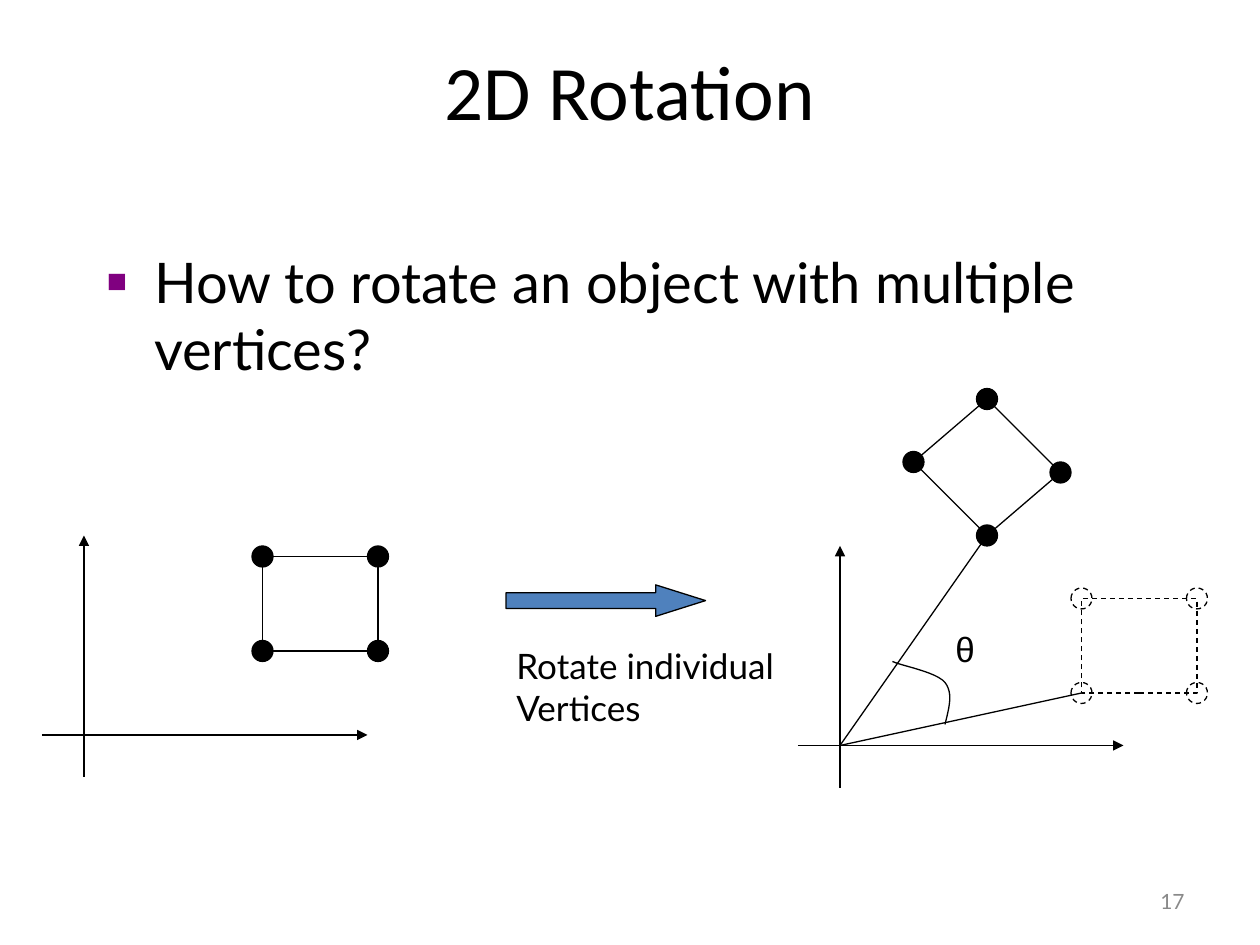
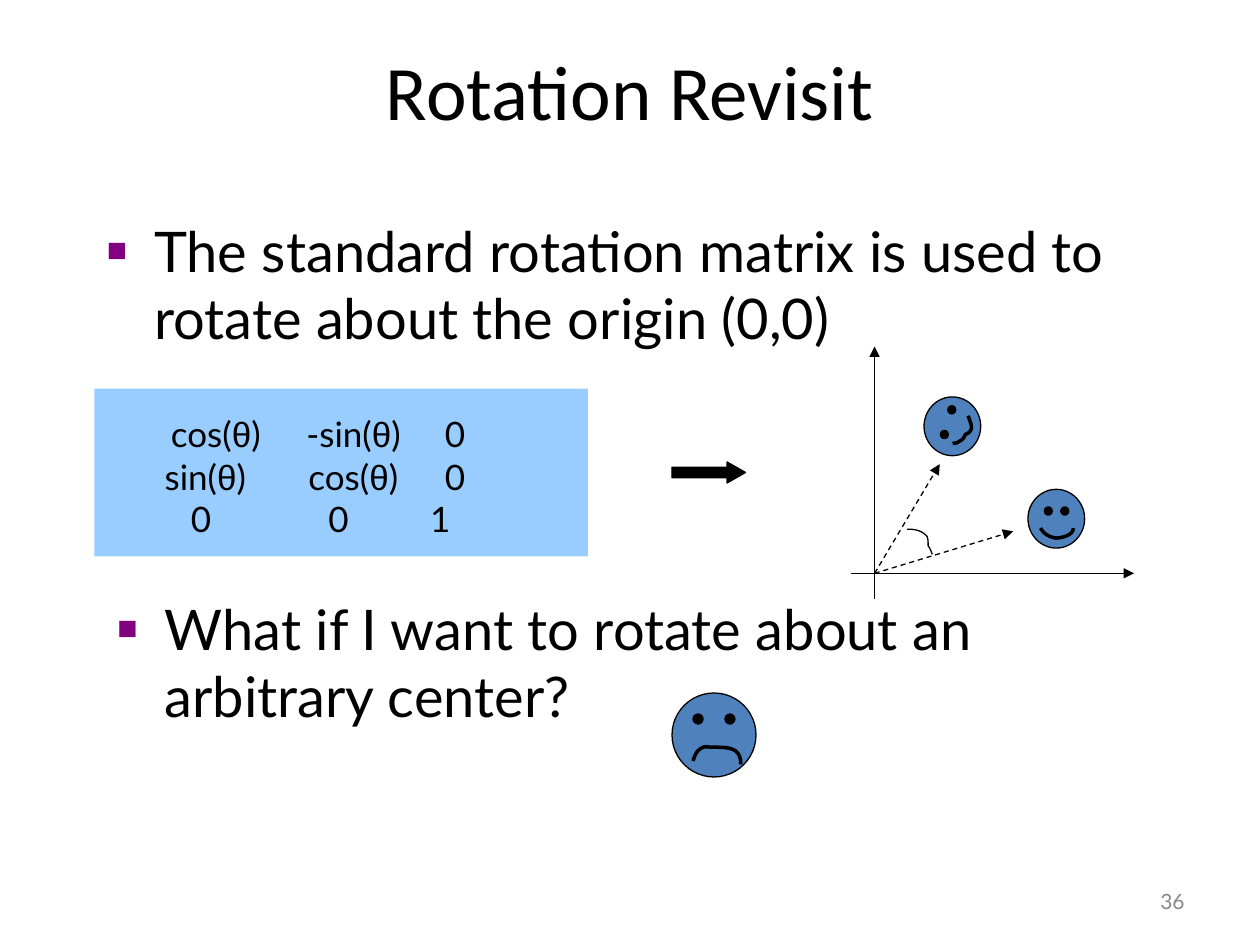
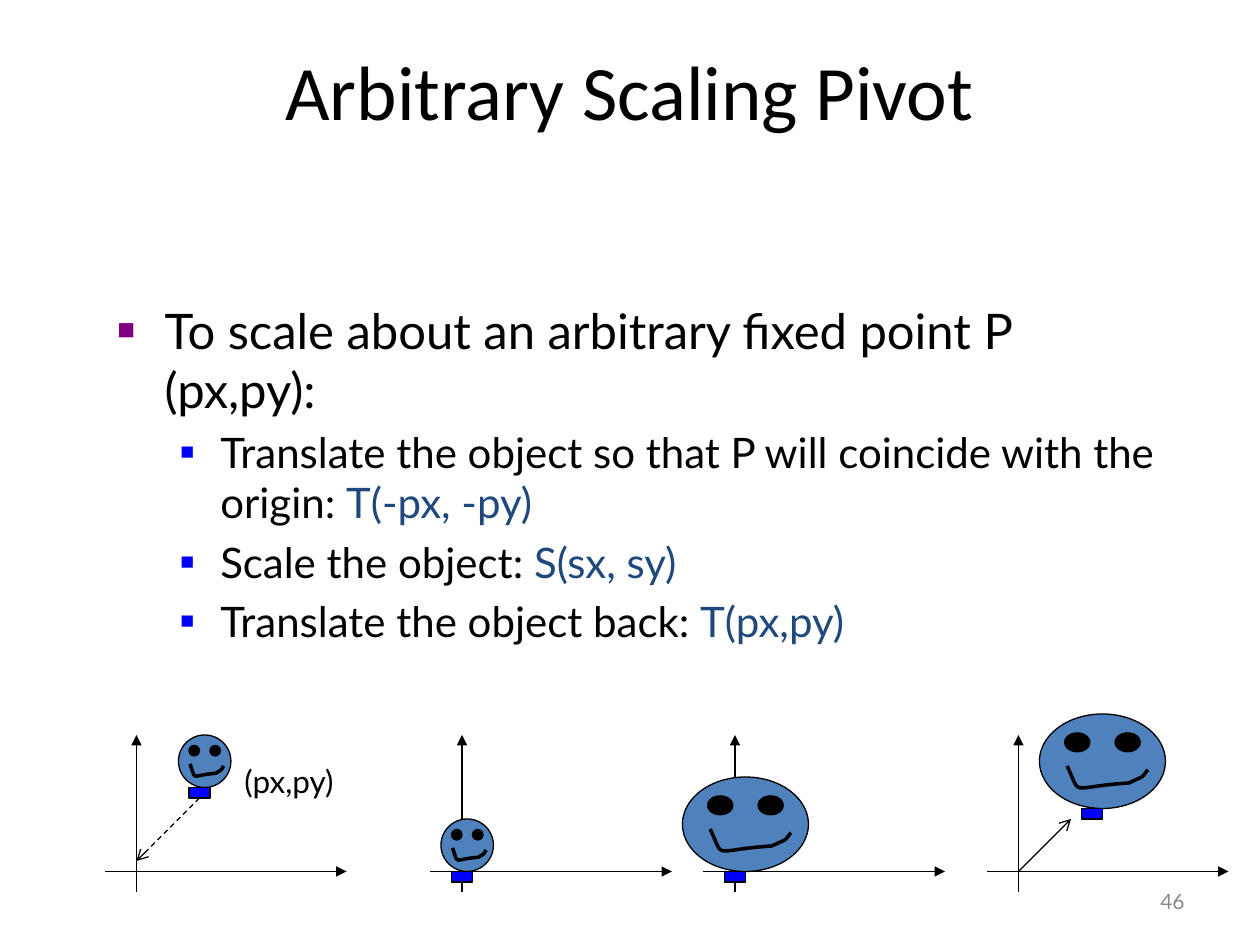
from lxml import etree
from pptx import Presentation
from pptx import util as u
from pptx.dml.color import RGBColor
from pptx.enum import dml, shapes, text
from pptx.oxml import ns

PX = 7620  # EMU in one px, 120 px to the inch
COLORS = {
    "ink": "000000", "number": "898989", "face": "4F81BD", "panel": "99CCFF",
    "bullet": "800080", "sub_bullet": "0000FF", "pivot": "0000FF", "formula": "1F497D",
}
BODY_FONT, TITLE_FONT, GREEK_FONT = "Lato", "Calibri", "Arial"
THETA = "θ"
OVAL, RECT, ARROW = (shapes.MSO_SHAPE.OVAL, shapes.MSO_SHAPE.RECTANGLE,
                     shapes.MSO_SHAPE.RIGHT_ARROW)

# Bullet levels: left margin and hanging indent in px, size in percent, colour
BULLETS = [(45, 45, 60, "bullet"), (98, 38, 55, "sub_bullet")]

# Faces: eyes (left, top, width, height) and mouth curve, in percent of the head
SMILE = ([(29, 30, 14, 14), (58, 30, 14, 14)],
         [(22, 66), (29, 77), (38, 81), (49, 83), (58, 83), (80, 79), (80, 66)])
TURNED = ([(29, 57, 14, 14), (42, 15, 14, 14)],
          [(78, 32), (82, 45), (91, 57), (73, 64), (69, 72), (69, 72), (60, 77),
           (58, 79), (51, 79), (51, 79)])
SAD = ([(25, 25, 12, 12), (63, 25, 12, 12)],
       [(25, 81), (28, 72), (30, 67), (39, 64), (60, 66), (82, 60), (82, 85)])
GRIN = ([(20, 20, 20, 20), (60, 20, 20, 20)],
        [(22, 55), (34, 89), (22, 77), (71, 73), (85, 64), (80, 69), (86, 59)])


def px(*lengths):
    return [u.Emu(round(length * PX)) for length in lengths]


def rgb(name):
    return RGBColor.from_string(COLORS[name])


def add_xml(parent, tag, **attributes):
    return etree.SubElement(parent, ns.qn(tag), attributes)


# Text
def style_runs(paragraph, size, font=BODY_FONT, color="ink"):
    for run in paragraph.runs:
        run.font.size = u.Pt(size)
        run.font.name = GREEK_FONT if run.text == THETA else font
        run.font.color.rgb = rgb(color)


def add_runs(paragraph, content):
    """Add the text with each theta in a run of its own."""
    for index, part in enumerate(content.split(THETA)):
        for piece in ([THETA] if index else []) + [part]:
            if piece:
                paragraph.add_run().text = piece


def add_text(slide, box, content="", size=20, font=BODY_FONT, color="ink",
             align=text.PP_ALIGN.LEFT, anchor=text.MSO_ANCHOR.TOP, wrap=True):
    frame = slide.shapes.add_textbox(*px(*box)).text_frame
    frame.word_wrap = wrap
    frame.vertical_anchor = anchor
    if not wrap:
        frame.auto_size = text.MSO_AUTO_SIZE.SHAPE_TO_FIT_TEXT
    frame.text = content
    for paragraph in frame.paragraphs:
        paragraph.alignment = align
        style_runs(paragraph, size, font, color)
    return frame


def add_bullet(paragraph, level=0):
    margin, hanging, percent, color = BULLETS[level]
    props = paragraph._p.get_or_add_pPr()
    props.set("marL", str(margin * PX))
    props.set("indent", str(-hanging * PX))
    add_xml(add_xml(props, "a:buClr"), "a:srgbClr", val=COLORS[color])
    add_xml(props, "a:buSzPct", val=str(percent * 1000))
    add_xml(props, "a:buFont", typeface="Arial")
    add_xml(props, "a:buChar", char="■")


def add_point(slide, box, content, size=32):
    frame = add_text(slide, box, content, size)
    add_bullet(frame.paragraphs[0])
    return frame


def add_step(frame, action, formula):
    paragraph = frame.add_paragraph()
    paragraph.level = 1
    add_bullet(paragraph, 1)
    paragraph.space_before = u.Pt(5)
    for part in (action, formula):
        paragraph.add_run().text = part
    style_runs(paragraph, 24)
    paragraph.runs[1].font.color.rgb = rgb("formula")


def add_matrix(slide, box, rows):
    """Each row holds its cells as (tab position, text)."""
    frame = add_text(slide, box, wrap=False)
    for index, cells in enumerate(rows):
        paragraph = frame.add_paragraph() if index else frame.paragraphs[0]
        tabs = add_xml(paragraph._p.get_or_add_pPr(), "a:tabLst")
        for position, cell in cells:
            add_xml(tabs, "a:tab", pos=str(position * PX), algn="l")
            paragraph.add_run().text = "\t"
            add_runs(paragraph, cell)
        style_runs(paragraph, 20)
    frame.paragraphs[0].runs[0].font.size = u.Pt(24)


# Shapes and lines
def style_line(line, width=0.75, dashed=False):
    line.color.rgb = rgb("ink")
    line.width = u.Pt(width)
    if dashed:
        line.dash_style = dml.MSO_LINE.DASH


def add_shape(slide, kind, box, fill=None, outlined=True, dashed=False):
    shape = slide.shapes.add_shape(kind, *px(*box))
    shape.shadow.inherit = False
    if fill:
        shape.fill.solid()
        shape.fill.fore_color.rgb = rgb(fill)
    else:
        shape.fill.background()
    if outlined:
        style_line(shape.line, dashed=dashed)
    else:
        shape.line.fill.background()
    return shape


def add_block_arrow(slide, box, fill, head):
    arrow = add_shape(slide, ARROW, box, fill)
    arrow.adjustments[1] = head


def add_line(slide, start, end, head=None, dashed=False):
    line = slide.shapes.add_connector(shapes.MSO_CONNECTOR.STRAIGHT, *px(*start, *end))
    style_line(line.line, dashed=dashed)
    if head:
        add_xml(line.line._get_or_add_ln(), "a:tailEnd", type=head)
    add_xml(line._element.spPr, "a:effectLst")


def add_curve(slide, points, width=0.75, steps=12):
    """Draw joined cubic curves: a start, then three points for each curve."""
    track = []
    for first in range(0, len(points) - 1, 3):
        a, b, c, d = points[first:first + 4]
        for step in range(1, steps + 1):
            t = step / steps
            s = 1 - t
            track.append(px(*(s**3 * a[i] + 3 * s * s * t * b[i] + 3 * s * t * t * c[i]
                              + t**3 * d[i] for i in (0, 1))))
    builder = slide.shapes.build_freeform(*px(*points[0]))
    builder.add_line_segments(track, close=False)
    curve = builder.convert_to_shape()
    curve.shadow.inherit = False
    curve.fill.background()
    style_line(curve.line, width)


# Drawings
def add_axes(slide, origin, left, right, down, up):
    x, y = origin
    add_line(slide, (x - left, y), (x + right, y), "triangle")
    add_line(slide, (x, y + down), (x, y - up), "triangle")


def add_vertices(slide, centers, fill=None, dashed=False):
    for x, y in centers:
        add_shape(slide, OVAL, (x - 10, y - 10, 20, 20), fill, dashed=dashed)


def add_square(slide, box, fill=None, dashed=False):
    left, top, width, height = box
    add_shape(slide, RECT, box, dashed=dashed)
    corners = [(x, y) for y in (top + height, top) for x in (left, left + width)]
    add_vertices(slide, corners, fill, dashed)


def add_face(slide, box, features):
    left, top, width, height = box
    eyes, mouth = features
    add_shape(slide, OVAL, box, "face")
    for x, y, w, h in eyes:
        add_shape(slide, OVAL, (left + x * width / 100, top + y * height / 100,
                                w * width / 100, h * height / 100), "ink")
    add_curve(slide, [(left + x * width / 100, top + y * height / 100) for x, y in mouth], 2)


def start_slide(deck, title, number):
    slide = deck.slides.add_slide(deck.slide_layouts[6])
    add_text(slide, (860, 834, 280, 48), str(number), 12, color="number",
             align=text.PP_ALIGN.RIGHT, anchor=text.MSO_ANCHOR.MIDDLE)
    add_text(slide, (60, 36, 1080, 150), title, 44, TITLE_FONT, align=text.PP_ALIGN.CENTER)
    return slide


# Slides
def build_rotation(deck):
    slide = start_slide(deck, "2D Rotation", 17)
    add_point(slide, (90, 230, 1020, 540), "How to rotate an object with multiple vertices?")

    # Before
    add_axes(slide, (80, 700), 40, 270, 40, 190)
    add_square(slide, (250, 530, 110, 90), "ink")
    add_block_arrow(slide, (482, 557, 190, 30), "face", 1.583)
    add_text(slide, (480, 608, 270, 92), "Rotate individual\nVertices", wrap=False)

    # After
    origin = (800, 710)
    diamond = [(870, 440), (940, 510), (1010, 450), (940, 380)]
    add_axes(slide, origin, 40, 270, 40, 190)
    add_square(slide, (1030, 570, 110, 90), dashed=True)
    for start, end in zip(diamond, diamond[1:] + diamond[:1]):
        add_line(slide, start, end)
    add_vertices(slide, diamond, "ink")
    for target in ((1030, 660), diamond[1]):
        add_line(slide, origin, target)
    add_curve(slide, [(900, 690), (904, 674), (908, 660), (900, 650),
                      (892, 640), (858, 634), (850, 630)])
    add_text(slide, (898, 592, 42, 52), THETA, wrap=False)


def build_revisit(deck):
    slide = start_slide(deck, "Rotation Revisit", 36)
    add_shape(slide, RECT, (90, 370, 470, 160), "panel", outlined=False)
    add_point(slide, (90, 200, 1020, 540),
              "The standard rotation matrix is used to rotate about the origin (0,0)")
    add_matrix(slide, (120, 380, 384, 140), [
        [(31, "cos(θ)"), (160, "-sin(θ)"), (292, "0")],
        [(25, "sin(θ)"), (162, "cos(θ)"), (292, "0")],
        [(50, "0"), (181, "0"), (278, "1")],
    ])
    add_block_arrow(slide, (640, 440, 70, 20), "ink", 0.875)

    # Rotation about the origin
    origin = (833, 546)
    add_axes(slide, origin, 23, 247, 24, 216)
    for head, features, ray_end in (((979, 466, 54, 56), SMILE, (965, 506)),
                                    ((880, 378, 54, 56), TURNED, (895, 442))):
        add_face(slide, head, features)
        add_line(slide, origin, ray_end, "triangle", dashed=True)
    add_curve(slide, [(888, 528), (887, 526), (886, 522), (884, 520), (884, 516),
                      (884, 514), (883, 511), (878, 505), (871, 504), (864, 504)])

    # Open question
    add_point(slide, (100, 560, 1050, 180),
              "What if I want to rotate about an arbitrary center?")
    add_face(slide, (640, 660, 80, 80), SAD)


def build_pivot(deck):
    slide = start_slide(deck, "Arbitrary Scaling Pivot", 46)
    steps = add_point(slide, (100, 280, 1020, 540),
                      "To scale about an arbitrary fixed point P (px,py):", 28)
    add_step(steps, "Translate the object so that P will coincide with the origin: ",
             "T(-px, -py)")
    add_step(steps, "Scale the object: ", "S(sx, sy)")
    add_step(steps, "Translate the object back: ", "T(px,py)")

    # Four stages: origin x, head, pivot corner
    stages = [
        (130, (170, 700, 50, 50), (180, 750)),
        (440, (420, 780, 50, 50), (430, 830)),
        (700, (650, 740, 120, 90), (690, 830)),
        (970, (990, 680, 120, 90), (1030, 770)),
    ]
    for origin_x, head, pivot in stages:
        add_axes(slide, (origin_x, 830), 30, 200, 20, 130)
        add_face(slide, head, GRIN)
        add_shape(slide, RECT, (*pivot, 20, 10), "pivot")
    add_text(slide, (221, 720, 119, 48), "(px,py)", 18, wrap=False)
    add_line(slide, (190, 760), (130, 820), "arrow", dashed=True)
    add_line(slide, (970, 830), (1020, 780), "arrow")


def main():
    deck = Presentation()
    deck.slide_width, deck.slide_height = px(1200, 900)
    build_rotation(deck)
    build_revisit(deck)
    build_pivot(deck)
    deck.save("out.pptx")


if __name__ == "__main__":
    main()
